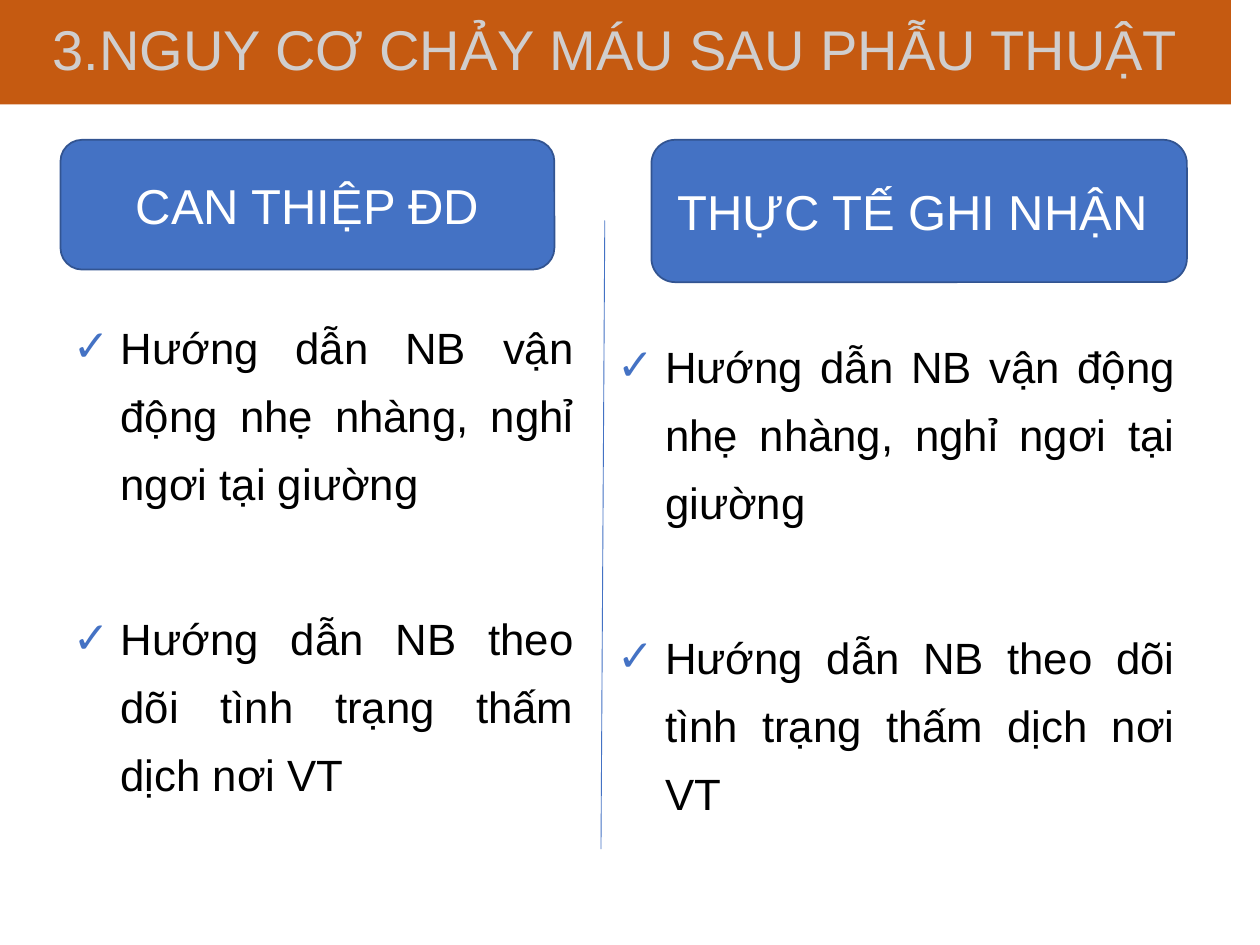
from lxml.etree import SubElement
from pptx import Presentation
from pptx.dml.color import RGBColor
from pptx.enum.shapes import MSO_CONNECTOR, MSO_SHAPE
from pptx.enum.text import MSO_ANCHOR, PP_ALIGN
from pptx.oxml.ns import qn
from pptx.util import Inches, Pt

COLORS = {
    "banner": "C55A11",
    "banner_text": "D0CECE",
    "accent": "4472C4",
    "outline": "325491",
    "white": "FFFFFF",
    "black": "000000",
}
GUIDANCE = [
    "Hướng dẫn NB vận động nhẹ nhàng, nghỉ ngơi tại giường",
    "Hướng dẫn NB theo dõi tình trạng thấm dịch nơi VT",
]
# Header text, header place, checklist place
PANELS = [
    ("CAN THIỆP ĐD", (4.8, 11.1, 39.2, 10.3), (4.8, 23.7, 41.7, 39)),
    ("THỰC TẾ GHI NHẬN ", (51.7, 11.1, 42.5, 11.3), (48, 25.2, 46.2, 39)),
]


class SlideBuilder:
    """Places elements on a grid of 100 columns by 75 rows."""

    font_name = "Arial"

    def __init__(self, presentation):
        self.column = presentation.slide_width / 100
        self.row = presentation.slide_height / 75
        self.slide = presentation.slides.add_slide(presentation.slide_layouts[6])

    def place(self, *lengths):
        """Turn alternating columns and rows into slide lengths."""
        return [round(length * (self.row if index % 2 else self.column))
                for index, length in enumerate(lengths)]

    def color(self, name):
        return RGBColor.from_string(COLORS[name])

    def add_run(self, paragraph, text, size, color):
        run = paragraph.add_run()
        run.text = text
        run.font.name = self.font_name
        run.font.size = Pt(size)
        run.font.color.rgb = self.color(color)

    def box(self, kind, place, text, size, fill, text_color, outline=None):
        shape = self.slide.shapes.add_shape(kind, *self.place(*place))
        shape.shadow.inherit = False
        shape.fill.solid()
        shape.fill.fore_color.rgb = self.color(fill)
        if outline:
            shape.line.color.rgb = self.color(outline)
            shape.line.width = Pt(1)
        else:
            shape.line.fill.background()
        frame = shape.text_frame
        frame.word_wrap = True
        frame.vertical_anchor = MSO_ANCHOR.MIDDLE
        paragraph = frame.paragraphs[0]
        paragraph.alignment = PP_ALIGN.CENTER
        if kind == MSO_SHAPE.RECTANGLE:
            paragraph.line_spacing = 0.9
        self.add_run(paragraph, text, size, text_color)

    def checklist(self, place, items):
        frame = self.slide.shapes.add_textbox(*self.place(*place)).text_frame
        frame.word_wrap = True
        for index, item in enumerate(items):
            paragraph = frame.add_paragraph() if index else frame.paragraphs[0]
            paragraph.alignment = PP_ALIGN.JUSTIFY
            paragraph.line_spacing = 1.3
            paragraph.space_before = Pt(49.5 if index else 0)
            self.add_check_bullet(paragraph)
            self.add_run(paragraph, item, 25, "black")

    def add_check_bullet(self, paragraph):
        properties = paragraph._p.get_or_add_pPr()
        properties.set("marL", str(Inches(0.38)))
        properties.set("indent", str(-Inches(0.38)))
        bullet_color = SubElement(properties, qn("a:buClr"))
        SubElement(bullet_color, qn("a:srgbClr"), val=COLORS["accent"])
        SubElement(properties, qn("a:buFont"), typeface=self.font_name)
        SubElement(properties, qn("a:buChar"), char="✓")

    def line(self, ends, color, width):
        connector = self.slide.shapes.add_connector(
            MSO_CONNECTOR.STRAIGHT, *self.place(*ends))
        connector.line.color.rgb = self.color(color)
        connector.line.width = Pt(width)
        SubElement(connector._element.spPr, qn("a:effectLst"))


def main():
    presentation = Presentation()
    presentation.slide_width = Inches(10)
    presentation.slide_height = Inches(7.5)
    builder = SlideBuilder(presentation)
    builder.box(MSO_SHAPE.RECTANGLE, (0, 0, 97.7, 8.3),
                "3.NGUY CƠ CHẢY MÁU SAU PHẪU THUẬT", 32, "banner", "banner_text")
    builder.line((48, 17.5, 47.7, 67.4), "accent", 0.5)
    for header, header_place, list_place in PANELS:
        builder.box(MSO_SHAPE.ROUNDED_RECTANGLE, header_place, header, 28,
                    "accent", "white", "outline")
        builder.checklist(list_place, GUIDANCE)
    presentation.save("out.pptx")


if __name__ == "__main__":
    main()
